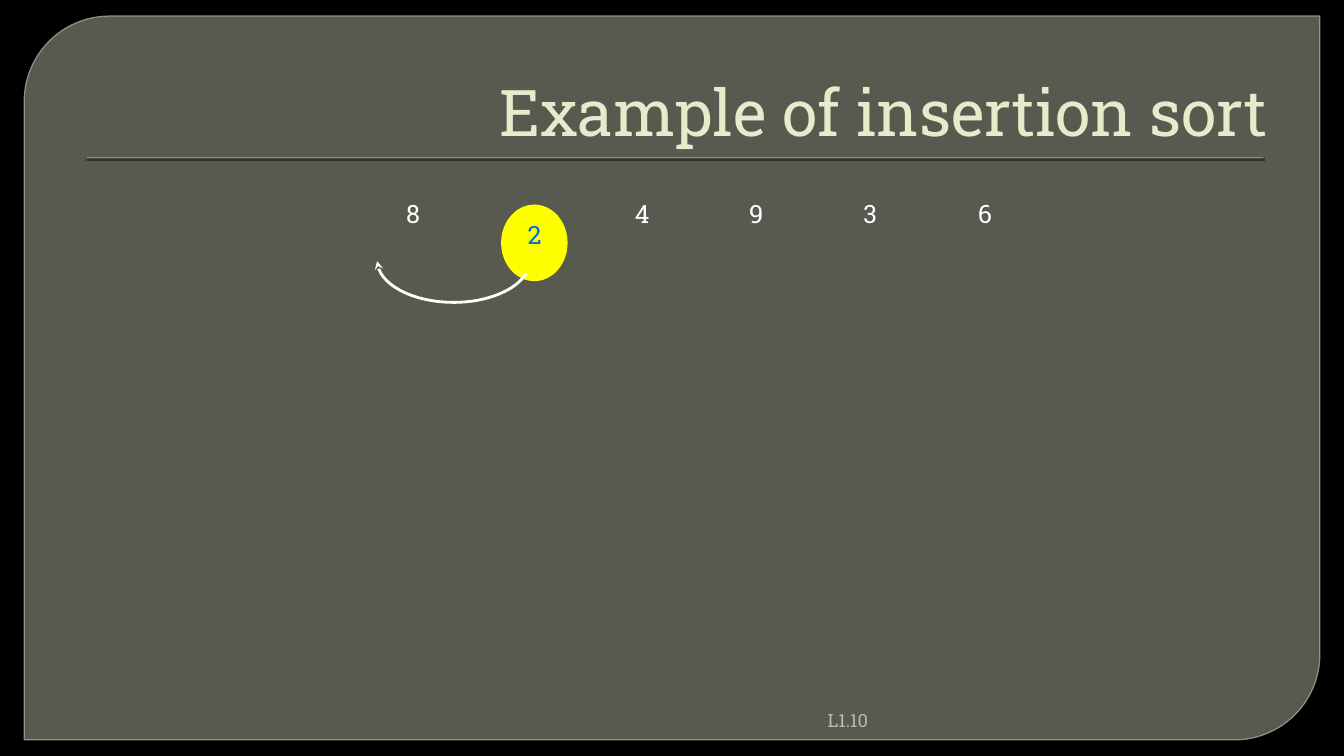
from lxml.etree import SubElement as Sub
from pptx import Presentation
from pptx.dml.color import RGBColor as RGB
from pptx.enum.shapes import MSO_SHAPE as Shape
from pptx.enum.text import MSO_ANCHOR as Anchor, PP_ALIGN as Align
from pptx.oxml.ns import qn
from pptx.util import Inches, Pt

TITLE = "Example of insertion sort"
PAGE = "L1.10"
NUMS = [8, 2, 4, 9, 3, 6]
KEY = 1
CURVES = [
    [(5.22, 2.71), (5.12, 2.88), (4.83, 3), (4.5, 3)],
    [(4.5, 3), (4.09, 3), (3.75, 2.82), (3.74, 2.59)],
]
STEPS = 16
FONT = "Roboto Slab"
HUES = {"back": "000000", "panel": "888B7B", "edge": "9DA090", "rule": "72A376",
        "title": "E7EACB", "page": "B9BBB2", "spot": "FFFF00", "key": "0070C0",
        "num": "FFFFFF"}


def hue(name):
    """Return the named colour."""
    return RGB.from_string(HUES[name])


def alpha(fill, pct):
    """Set the opacity of a solid fill element."""
    Sub(fill[0], qn("a:alpha"), val=str(pct * 1000))


def add_form(slide, kind, box, name):
    """Add a filled preset shape without an outline."""
    form = slide.shapes.add_shape(kind, *map(Inches, box))
    form.shadow.inherit = False
    form.fill.solid()
    form.fill.fore_color.rgb = hue(name)
    form.line.fill.background()
    return form


def add_text(slide, text, box, size, name, align=Align.LEFT, anchor=Anchor.TOP, wrap=True):
    """Add one line of text."""
    frame = slide.shapes.add_textbox(*map(Inches, box)).text_frame
    frame.word_wrap = wrap
    frame.vertical_anchor = anchor
    para = frame.paragraphs[0]
    para.text = text
    para.alignment = align
    para.font.size = Pt(size)
    para.font.name = FONT
    para.font.color.rgb = hue(name)


def add_panel(slide):
    """Add the rounded panel and the rule under the title."""
    panel = add_form(slide, Shape.ROUND_2_DIAG_RECTANGLE, (0.24, 0.16, 12.85, 7.18), "panel")
    panel.adjustments[0] = 0.118
    panel.adjustments[1] = 0
    panel.line.color.rgb = hue("edge")
    panel.line.width = Pt(0.87)
    props = panel._element.spPr
    alpha(props.find(qn("a:solidFill")), 65)
    alpha(props.find(qn("a:ln")).find(qn("a:solidFill")), 88)

    rule = add_form(slide, Shape.RECTANGLE, (0.86, 1.56, 11.67, 0.01), "rule")
    shade = Sub(rule._element.spPr.find(qn("a:effectLst")), qn("a:outerShdw"),
                blurRad=str(Pt(1)), dist=str(Pt(1)), dir="5400000", rotWithShape="0")
    Sub(shade, qn("a:srgbClr"), val=HUES["back"])
    alpha(shade, 75)


def bezier(pts, t):
    """Return the point at t on a cubic curve."""
    parts = ((1 - t) ** 3, 3 * t * (1 - t) ** 2, 3 * t * t * (1 - t), t ** 3)
    return tuple(Inches(sum(w * p[i] for w, p in zip(parts, pts))) for i in (0, 1))


def add_arc(slide):
    """Add the curved arrow that moves the key to the front."""
    start, *rest = [bezier(c, n / STEPS) for c in CURVES for n in range(STEPS + 1)]
    build = slide.shapes.build_freeform(*start)
    build.add_line_segments(rest, close=False)
    arc = build.convert_to_shape()
    arc.shadow.inherit = False
    arc.fill.background()
    arc.line.color.rgb = hue("num")
    arc.line.width = Pt(2)
    Sub(arc.line._get_or_add_ln(), qn("a:tailEnd"), type="stealth")


def main():
    """Build and save the slide."""
    deck = Presentation()
    deck.slide_width, deck.slide_height = Inches(13.33), Inches(7.5)
    slide = deck.slides.add_slide(deck.slide_layouts[6])
    slide.background.fill.solid()
    slide.background.fill.fore_color.rgb = hue("back")
    add_panel(slide)
    add_text(slide, PAGE, (8.11, 7, 4.38, 0.3), 13, "page", anchor=Anchor.MIDDLE)
    add_text(slide, TITLE, (0.67, 0.28, 12, 1.25), 46, "title", Align.RIGHT, Anchor.BOTTOM)
    add_form(slide, Shape.OVAL, (4.97, 2.03, 0.66, 0.76), "spot")
    gap = (9.6 - 3.93) / (len(NUMS) - 1)
    for i, num in enumerate(NUMS):
        dx, dy, name = (0.07, 0.21, "key") if i == KEY else (0, 0, "num")
        add_text(slide, str(num), (3.93 + i * gap + dx, 1.92 + dy, 0.34, 0.4), 18, name, wrap=False)
    add_arc(slide)
    deck.save("out.pptx")


if __name__ == "__main__":
    main()
